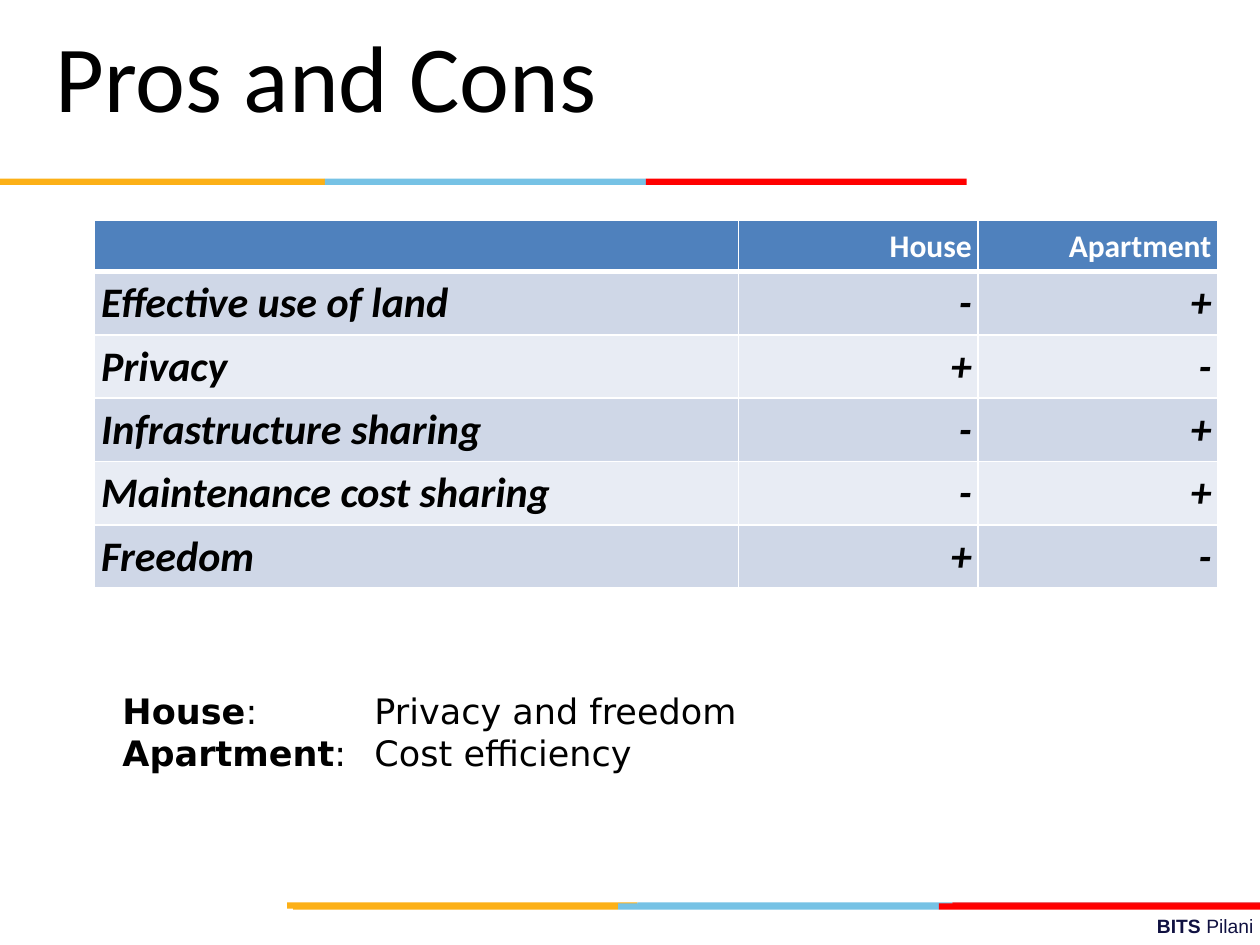
from dataclasses import dataclass
from itertools import accumulate

from lxml.etree import SubElement
from pptx import Presentation
from pptx.dml.color import RGBColor as RGB
from pptx.enum.shapes import MSO_SHAPE as Shape
from pptx.enum.text import MSO_ANCHOR as Anchor, PP_ALIGN as Align
from pptx.oxml.ns import qn
from pptx.util import Cm, Pt


@dataclass(frozen=True)
class Theme:
    black: str = "000000"
    white: str = "FFFFFF"
    navy: str = "101141"
    header: str = "4F81BD"
    bands: tuple = ("CFD7E7", "E8ECF4")
    muted: tuple = ("FCB017", "76C2E5", "E31C24")
    bright: tuple = ("FCB017", "76C2E5", "FF0000")
    title: int = 54
    body: int = 24
    notes: int = 20
    heading: int = 18
    footer: int = 11


@dataclass(frozen=True)
class Run:
    text: str
    color: str
    fmt: dict


@dataclass(frozen=True)
class Stripe:
    left: float
    top: float
    widths: tuple
    colors: tuple


@dataclass(frozen=True)
class Box:
    left: float
    top: float
    width: float
    height: float
    inset: float = 0.13


T = Theme()
BAR_HEIGHT = 0.13
EVEN = (6.55, 6.47, 6.47)
STRIPES = (
    Stripe(5.79, 18.19, (7.06, 6.35, 6.2), T.muted),
    Stripe(5.91, 18.21, EVEN, T.bright),
    Stripe(0, 3.6, EVEN, T.bright),
)
COLUMNS = (12.98, 4.83, 4.83)
ROW_HEIGHTS = (1.0,) + (1.27,) * 5
ROWS = (
    ("", "House", "Apartment"),
    ("Effective use of land", "-", "+"),
    ("Privacy", "+", "-"),
    ("Infrastructure sharing", "-", "+"),
    ("Maintenance cost sharing", "-", "+"),
    ("Freedom", "+", "-"),
)
SUMMARY = (("House", ":\tPrivacy and freedom"), ("Apartment", ": \tCost efficiency"))


def set_attrs(target, values: dict) -> None:
    for name, value in values.items():
        setattr(target, name, value)


def add_run(p, run: Run) -> None:
    r = p.add_run()
    r.text = run.text
    set_attrs(r.font, run.fmt)
    r.font.color.rgb = RGB.from_string(run.color)


def add_text(s, box: Box, lines: list, anchor=Anchor.TOP) -> list:
    sp = s.shapes.add_textbox(Cm(box.left), Cm(box.top), Cm(box.width), Cm(box.height))
    tf = sp.text_frame
    margins = {f"margin_{side}": Cm(box.inset) for side in ("left", "top", "right", "bottom")}
    set_attrs(tf, {"word_wrap": True, "vertical_anchor": anchor, **margins})
    for i, runs in enumerate(lines):
        p = tf.add_paragraph() if i else tf.paragraphs[0]
        for run in runs:
            add_run(p, run)
    return list(tf.paragraphs)


def add_stripe(s, stripe: Stripe) -> None:
    lefts = accumulate(stripe.widths, initial=stripe.left)
    for left, width, color in zip(lefts, stripe.widths, stripe.colors):
        sp = s.shapes.add_shape(
            Shape.RECTANGLE, Cm(left), Cm(stripe.top), Cm(width), Cm(BAR_HEIGHT))
        sp.shadow.inherit = False
        sp.fill.solid()
        sp.fill.fore_color.rgb = RGB.from_string(color)
        sp.line.fill.background()


def add_borders(cell, widths: dict) -> None:
    tc_pr = cell._tc.get_or_add_tcPr()
    for side, width in widths.items():
        ln = SubElement(tc_pr, qn(f"a:ln{side}"), w=str(Pt(width)))
        SubElement(SubElement(ln, qn("a:solidFill")), qn("a:srgbClr"), val=T.white)


def fill_cell(cell, text: str, row: int, col: int) -> None:
    is_header = row == 0
    add_borders(cell, {"L": 1, "R": 1, "T": 3 if row == 1 else 1, "B": 3 if is_header else 1})
    cell.fill.solid()
    cell.fill.fore_color.rgb = RGB.from_string(T.header if is_header else T.bands[(row - 1) % 2])
    set_attrs(cell, {f"margin_{side}": Cm(0.13) for side in ("left", "top", "right", "bottom")})
    p = cell.text_frame.paragraphs[0]
    p.alignment = Align.RIGHT if col else Align.LEFT
    if text:
        size = T.heading if is_header else T.body
        fmt = {"name": "Calibri", "size": Pt(size), "bold": True, "italic": not is_header}
        add_run(p, Run(text, T.white if is_header else T.black, fmt))


def add_comparison(s, left: float, top: float) -> None:
    table = s.shapes.add_table(
        len(ROWS), len(COLUMNS), Cm(left), Cm(top),
        Cm(sum(COLUMNS)), Cm(sum(ROW_HEIGHTS))).table
    for column, width in zip(table.columns, COLUMNS):
        column.width = Cm(width)
    for row, height in zip(table.rows, ROW_HEIGHTS):
        row.height = Cm(height)
    for i, texts in enumerate(ROWS):
        for j, text in enumerate(texts):
            fill_cell(table.cell(i, j), text, i, j)


def add_footer(s) -> None:
    fmt = {"name": "Arial", "size": Pt(T.footer)}
    runs = [Run("BITS ", T.navy, {**fmt, "bold": True}), Run("Pilani", T.navy, fmt)]
    p, = add_text(s, Box(9.1, 18.31, 16.3, 0.66), [runs])
    p.alignment = Align.RIGHT


def add_title(s) -> None:
    run = Run("Pros and Cons", T.black, {"name": "Calibri", "size": Pt(T.title)})
    p, = add_text(s, Box(1.12, 0.43, 23.42, 3.18, 0), [[run]], Anchor.MIDDLE)
    p.line_spacing = Pt(36)


def add_summary(s) -> None:
    fmt = {"name": "DejaVu Sans", "size": Pt(T.notes)}
    lines = [[Run(name, T.black, {**fmt, "bold": True}), Run(rest, T.black, fmt)]
             for name, rest in SUMMARY]
    for p in add_text(s, Box(2.34, 13.77, 24, 1.96), lines):
        tabs = SubElement(p._p.get_or_add_pPr(), qn("a:tabLst"))
        SubElement(tabs, qn("a:tab"), pos=str(Cm(5.08)), algn="l")


def main() -> None:
    prs = Presentation()
    set_attrs(prs, {"slide_width": Cm(25.4), "slide_height": Cm(19.05)})
    s = prs.slides.add_slide(prs.slide_layouts[6])
    add_footer(s)
    for stripe in STRIPES:
        add_stripe(s, stripe)
    add_title(s)
    add_comparison(s, 1.91, 4.45)
    add_summary(s)
    prs.save("out.pptx")


if __name__ == "__main__":
    main()
